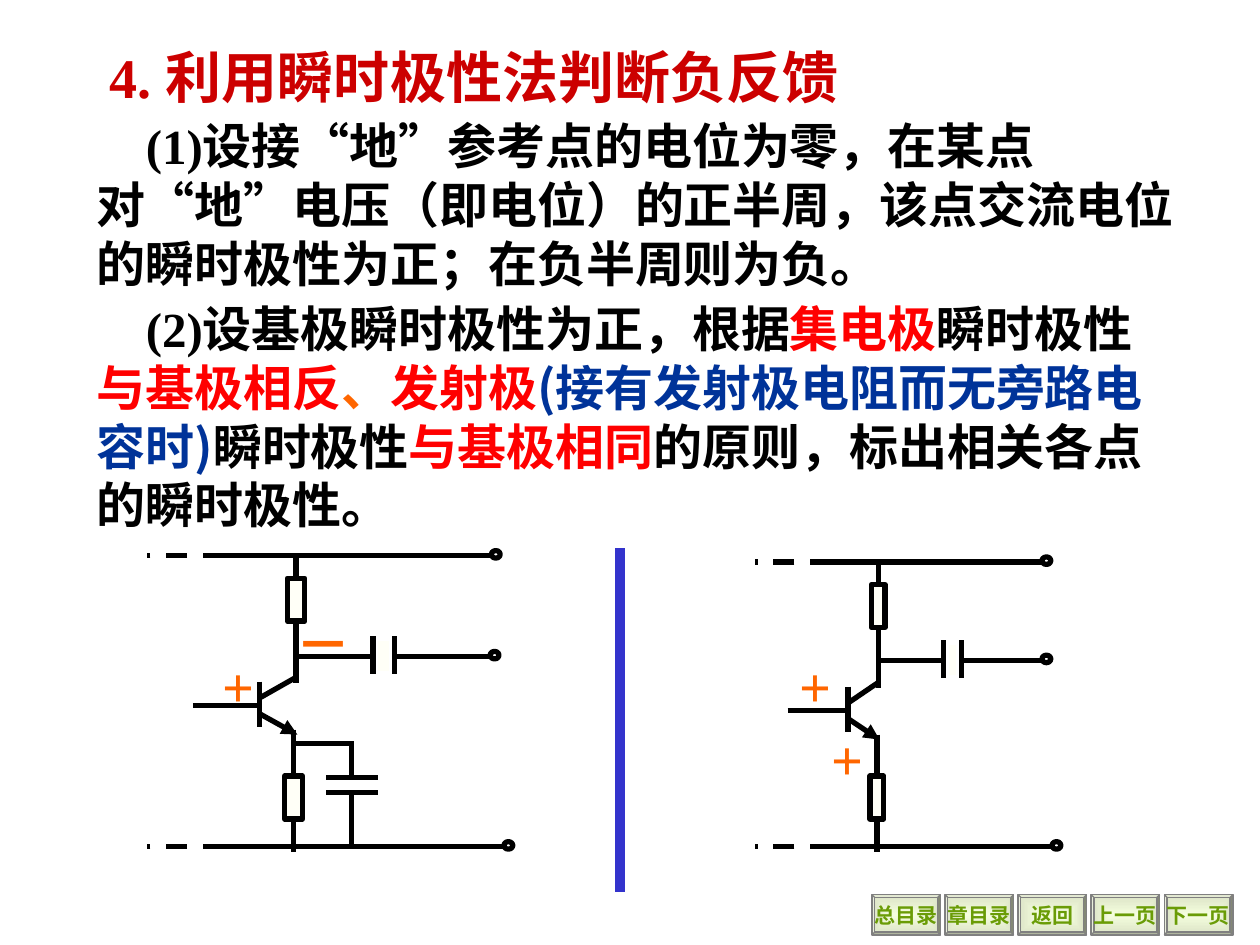
from lxml.etree import SubElement
from pptx import Presentation
from pptx.dml.color import RGBColor
from pptx.enum.dml import MSO_LINE
from pptx.enum.shapes import MSO_CONNECTOR, MSO_SHAPE
from pptx.enum.text import MSO_ANCHOR, PP_ALIGN
from pptx.oxml.ns import qn
from pptx.util import Inches, Pt

SERIF, SANS = "Times New Roman", "Noto Sans CJK SC"
BLACK, RED, BLUE, ORANGE = "000000", "FF0000", "003399", "FF6600"
PAPER, WHITE = "FFFFF7", "FFFFFF"


def tint(code):
    """Turn a hex string into a colour."""
    return RGBColor.from_string(code)


class Page:
    """Draw on one slide, in a grid of 100 columns by 75 rows."""

    def __init__(self, deck):
        """Set the slide size and add a blank slide."""
        deck.slide_width, deck.slide_height = Inches(10), Inches(7.5)
        self.cell = deck.slide_width / 100
        self.slide = deck.slides.add_slide(deck.slide_layouts[6])

    def grid(self, *spans):
        """Turn grid counts into lengths."""
        return [round(span * self.cell) for span in spans]

    def face(self, run, latin):
        """Set the Latin and the East Asian font of a run."""
        run.font.name = latin
        SubElement(run.font._element, qn("a:ea"), typeface=SANS)

    def line(self, x1, y1, x2, y2, color=BLACK, width=3, dash=False, arrow=False):
        """Draw a straight line."""
        wire = self.slide.shapes.add_connector(
            MSO_CONNECTOR.STRAIGHT, *self.grid(x1, y1, x2, y2))
        wire.line.color.rgb = tint(color)
        wire.line.width = Pt(width)
        if dash:
            wire.line.dash_style = MSO_LINE.DASH
        if arrow:
            SubElement(wire.line._get_or_add_ln(), qn("a:tailEnd"), type="triangle")
        SubElement(wire._element.spPr, qn("a:effectLst"))

    def shape(self, kind, x, y, w, h, fill=None, edge=BLACK, width=3):
        """Draw a preset shape."""
        item = self.slide.shapes.add_shape(kind, *self.grid(x, y, w, h))
        item.shadow.inherit = False
        if fill:
            item.fill.solid()
            item.fill.fore_color.rgb = tint(fill)
        else:
            item.fill.background()
        item.line.color.rgb = tint(edge)
        item.line.width = Pt(width)
        return item

    def box(self, x, y, w, h, edge=BLACK):
        """Draw a box centred on a point."""
        self.shape(MSO_SHAPE.RECTANGLE, x - w / 2, y - h / 2, w, h, PAPER, edge)

    def ring(self, x, y):
        """Draw a terminal at the right end of a wire."""
        self.shape(MSO_SHAPE.OVAL, x, y - 0.4, 0.7, 0.6)

    def text(self, x, y, w, h, size, runs, indent=0):
        """Write one paragraph of (text, colour, font) runs."""
        frame = self.slide.shapes.add_textbox(*self.grid(x, y, w, h)).text_frame
        frame.word_wrap = True
        para = frame.paragraphs[0]
        para.font.size, para.font.bold = Pt(size), True
        para.line_spacing = Pt(size * 1.2)
        para._p.get_or_add_pPr().set("indent", str(Pt(indent)))
        for words, color, latin in runs:
            run = para.add_run()
            run.text = words
            run.font.color.rgb = tint(color)
            self.face(run, latin)

    def button(self, x, y, label):
        """Draw a bevelled button with a soft radial fill."""
        item = self.shape(MSO_SHAPE.BEVEL, x, y, 5.45, 3.2, WHITE, "808080", 0.75)
        item.adjustments[0] = 0.07
        item.fill.gradient()
        grad = item._element.spPr.find(qn("a:gradFill"))
        for stop, code in zip(item.fill.gradient_stops, ("F5FEDE", "DBE3C6")):
            stop.color.rgb = tint(code)
        grad.remove(grad.find(qn("a:lin")))
        way = SubElement(grad, qn("a:path"), path="rect")
        SubElement(way, qn("a:fillToRect"), l="50000", t="50000", r="50000", b="50000")
        frame = item.text_frame
        frame.word_wrap, frame.vertical_anchor = False, MSO_ANCHOR.MIDDLE
        para = frame.paragraphs[0]
        para.alignment = PP_ALIGN.CENTER
        para.font.size, para.font.bold = Pt(12), True
        para.font.color.rgb = tint("6A9C06")
        run = para.add_run()
        run.text = label
        self.face(run, SERIF)

    def stage(self, start, lead, base, node, foot, plates, ends, rows, wide):
        """Draw a transistor stage between two rails."""
        top, out, mid, load = rows
        low = 67.2
        self.line(base, mid - 1.8, base, mid + 1.8)
        self.line(base, mid - 0.5, node + 0.1, mid - 2.2)
        self.line(base + 0.1, mid + 0.8, node + 0.1, mid + 2.4, arrow=True)
        self.line(foot, mid + 2, foot, low + 0.4)
        self.line(node, mid - 1.7, node, top)
        self.line(node, out, ends[1], out)
        self.line(lead, mid + 0.1, base, mid + 0.1)
        self.box(node, load, wide, 3.4)
        self.box(foot, 63.3, wide, 3.4)
        self.box(sum(plates) / 2, out, plates[1] - plates[0] - 0.4, 2.8, WHITE)
        for x in plates:
            self.line(x, out - 1.6, x, out + 1.4)
        for y, end in ((top, ends[0]), (low, ends[2])):
            self.line(end, y, start + 5.2, y)
            self.line(start + 9, y, start, y, dash=True)
        for x, y in zip(ends, (top, out, low)):
            self.ring(x, y)

    def bypass(self, node, x, y, low):
        """Draw a bypass capacitor beside the emitter resistor."""
        self.line(node, y, x + 0.2, y)
        self.line(x, y, x, y + 2.7)
        self.line(x, y + 3.8, x, low)
        for row in (y + 2.7, y + 3.9):
            self.line(x - 2, row, x + 2.1, row)


def main():
    """Build the slide."""
    deck = Presentation()
    page = Page(deck)
    for i, label in enumerate(("总目录", "章目录", "返回", "上一页", "下一页")):
        page.button(69.2 + 5.8 * i, 71, label)

    page.stage(59.9, 62.5, 67.3, 69.7, 69.6, (74.9, 76.3),
               (82.7, 82.7, 83.5), (44.6, 52.4, 56.3, 48.1), 1.1)
    page.stage(11.7, 15.3, 20.6, 23.5, 23.3, (29.6, 31.3),
               (39, 38.9, 40), (44.1, 52.1, 55.9, 47.6), 1.4)
    page.bypass(23.3, 27.9, 59, 67.2)

    page.text(3.3, 2.9, 79.4, 6.4, 32, [
        ("4. ", "CC0000", SERIF),
        ("利用瞬时极性法判断负反馈", "CC0000", SANS)], 32)
    for x, y, sign in ((16.7, 51.2, "+"), (62.5, 51.2, "+"),
                       (22.5, 47.9, "－"), (65, 57, "+")):
        page.text(x, y, 9.2 if sign == "－" else 5.8, 6.4, 32,
                  [(sign, ORANGE, SERIF)])
    page.line(49.2, 43.5, 49.2, 70.8, "3333CC", 6)

    page.text(6.7, 8.7, 88.3, 15, 28, [
        ("(1)", BLACK, SERIF),
        ("设接“地”参考点的电位为零，在某点对“地”电压（即电位）的正半周，"
         "该点交流电位的瞬时极性为正；在负半周则为负。", BLACK, SANS)], 28)
    rule = [("设基极瞬时极性为正，根据", BLACK), ("集电极", RED), ("瞬时极性", BLACK),
            ("与基极相反", RED), ("、", ORANGE), ("发射极", RED),
            ("(接有发射极电阻而无旁路电容时)", BLUE), ("瞬时极性", BLACK),
            ("与基极相同", RED), ("的原则，标出相关各点的瞬时极性。", BLACK)]
    page.text(6.7, 23.2, 86.7, 19.7, 28, [("(2)", BLACK, SERIF)] + [
        (words, color, SANS) for words, color in rule], 28)
    deck.save("out.pptx")


if __name__ == "__main__":
    main()
